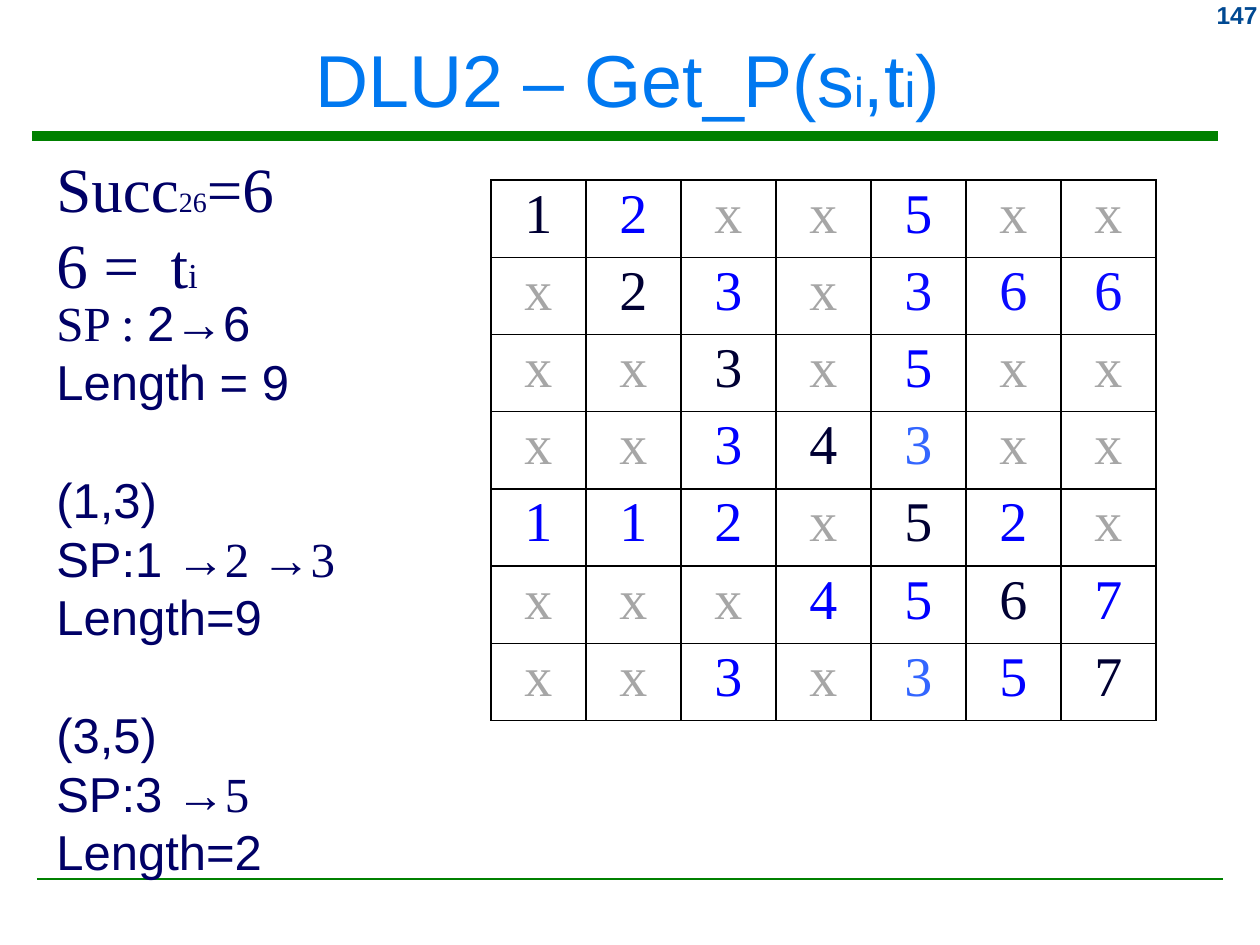
from typing import NamedTuple

from lxml import etree
from pptx import Presentation
from pptx.dml.color import RGBColor
from pptx.enum.shapes import MSO_CONNECTOR
from pptx.enum.text import MSO_ANCHOR, MSO_AUTO_SIZE, PP_ALIGN
from pptx.oxml.ns import qn
from pptx.util import Emu, Pt

STRAIGHT = MSO_CONNECTOR.STRAIGHT
TOP, MIDDLE = MSO_ANCHOR.TOP, MSO_ANCHOR.MIDDLE
FIXED, GROW = MSO_AUTO_SIZE.NONE, MSO_AUTO_SIZE.SHAPE_TO_FIT_TEXT
LEFT, MID, RIGHT = PP_ALIGN.LEFT, PP_ALIGN.CENTER, PP_ALIGN.RIGHT

SCALE = 914400 / 126
SANS, SERIF = "Arial", "Times New Roman"
NAVY, AZURE, GREEN = "000066", "0078F0", "008000"
DARK, BLUE, GREY, SKY = "000033", "0000FF", "A6A6A6", "3366FF"


class Run(NamedTuple):
    text: str
    size: int
    font: str = SANS
    color: str = NAVY
    bold: bool = False


class Para(NamedTuple):
    runs: list[Run]
    form: dict = {}


class Box(NamedTuple):
    x: int
    y: int
    w: int
    h: int
    paras: list[Para]
    frame: dict = {}


class Rule(NamedTuple):
    x: int
    y: int
    w: int
    width: float


def px(n: int) -> Emu:
    return Emu(round(n * SCALE))


def rgb(code: str) -> RGBColor:
    return RGBColor.from_string(code)


def apply(part, form: dict) -> None:
    for name, value in form.items():
        setattr(part, name, value)


def add_run(para, run: Run) -> None:
    item = para.add_run()
    item.text = run.text
    apply(item.font, {"size": Pt(run.size), "name": run.font, "bold": run.bold})
    item.font.color.rgb = rgb(run.color)


def add_box(slide, box: Box) -> None:
    frame = slide.shapes.add_textbox(*map(px, box[:4])).text_frame
    apply(frame, {"word_wrap": True, "auto_size": FIXED, **box.frame})
    for i, item in enumerate(box.paras):
        para = frame.add_paragraph() if i else frame.paragraphs[0]
        apply(para, item.form)
        for run in item.runs:
            add_run(para, run)


def add_rule(slide, rule: Rule) -> None:
    line = slide.shapes.add_connector(
        STRAIGHT, px(rule.x), px(rule.y), px(rule.x + rule.w), px(rule.y))
    line.line.color.rgb = rgb(GREEN)
    line.line.width = Pt(rule.width)
    etree.SubElement(line._element.spPr, qn("a:effectLst"))


def add_edges(cell) -> None:
    props = cell._tc.get_or_add_tcPr()
    for i, side in enumerate(("lnL", "lnR", "lnT", "lnB")):
        edge = etree.Element(qn(f"a:{side}"), w=str(Pt(1)))
        fill = etree.SubElement(edge, qn("a:solidFill"))
        etree.SubElement(fill, qn("a:srgbClr"), val="000000")
        props.insert(i, edge)


def shade(r: int, c: int, mark: str) -> str:
    if mark == "x":
        return GREY
    if r == c:
        return DARK
    if (r, c) in ((3, 4), (6, 4)):
        return SKY
    return "0A0AFF" if r == 1 and c >= 4 else BLUE


def add_grid(slide, rows: list[str]) -> None:
    count = len(rows)
    wide, high = px(665), px(541)
    table = slide.shapes.add_table(
        count, count, px(491), px(180), wide, high).table
    apply(table, {"first_row": False, "horz_banding": False})
    for col in table.columns:
        col.width = wide // count
    for r, marks in enumerate(rows):
        table.rows[r].height = high // count
        for c, mark in enumerate(marks):
            cell = table.cell(r, c)
            apply(cell, {"margin_left": px(6), "margin_right": px(6),
                         "margin_top": px(3), "margin_bottom": px(3)})
            cell.fill.solid()
            cell.fill.fore_color.rgb = rgb("FFFFFF")
            add_edges(cell)
            para = cell.text_frame.paragraphs[0]
            para.alignment = MID
            add_run(para, Run(mark, 32, SERIF, shade(r, c, mark)))


# Slide content
RULES = [Rule(32, 136, 1186, 5.25), Rule(37, 879, 1186, 1)]

# Successor matrix, one string per row
MATRIX = ["12xx5xx", "x23x366", "xx3x5xx", "xx343xx",
          "112x52x", "xxx4567", "xx3x357"]

BIG = {"alignment": LEFT, "line_spacing": Pt(43.4)}
STEP = {"alignment": LEFT, "line_spacing": Pt(33.6)}
GAP = {**STEP, "space_before": Pt(33.6)}
LOOSE = {"word_wrap": False, "auto_size": GROW, "margin_top": px(9)}


def step(text: str, tail: str = "", form: dict = STEP) -> Para:
    runs = [Run(text, 28)]
    if tail:
        runs.append(Run(tail, 28, SERIF))
    return Para(runs, form)


BOXES = [
    # Page number
    Box(1155, -6, 115, 42,
        [Para([Run("147", 14, SANS, "004992", True)], {"alignment": RIGHT})],
        {"auto_size": GROW, "vertical_anchor": TOP}),
    # Title
    Box(10, 11, 1235, 134,
        [Para([Run(text, size, SANS, AZURE) for text, size in (
            ("DLU2 – Get_P(s", 42), ("i", 24), (",t", 42), ("i", 28),
            (")", 42))], {"alignment": MID})],
        {"vertical_anchor": MIDDLE}),
    # Successor
    Box(44, 140, 244, 165,
        [Para([Run("Succ", 36, SERIF), Run("26", 16, SERIF),
               Run("=6", 36, SERIF)], BIG),
         Para([Run("6 =  t", 36, SERIF), Run("i", 20, SERIF)], BIG)], LOOSE),
    # Shortest paths
    Box(44, 284, 306, 606,
        [Para([Run("SP : ", 28, SERIF), Run("2→6", 28)], STEP),
         step("Length = 9"),
         step("(1,3)", form=GAP), step("SP:1 ", "→2 →3"), step("Length=9"),
         step("(3,5)", form=GAP), step("SP:3 ", "→5"), step("Length=2")],
        LOOSE),
]


def main() -> None:
    deck = Presentation()
    apply(deck, {"slide_width": px(1260), "slide_height": px(945)})
    slide = deck.slides.add_slide(deck.slide_layouts[6])
    for rule in RULES:
        add_rule(slide, rule)
    add_grid(slide, MATRIX)
    for box in BOXES:
        add_box(slide, box)
    deck.save("out.pptx")


if __name__ == "__main__":
    main()
